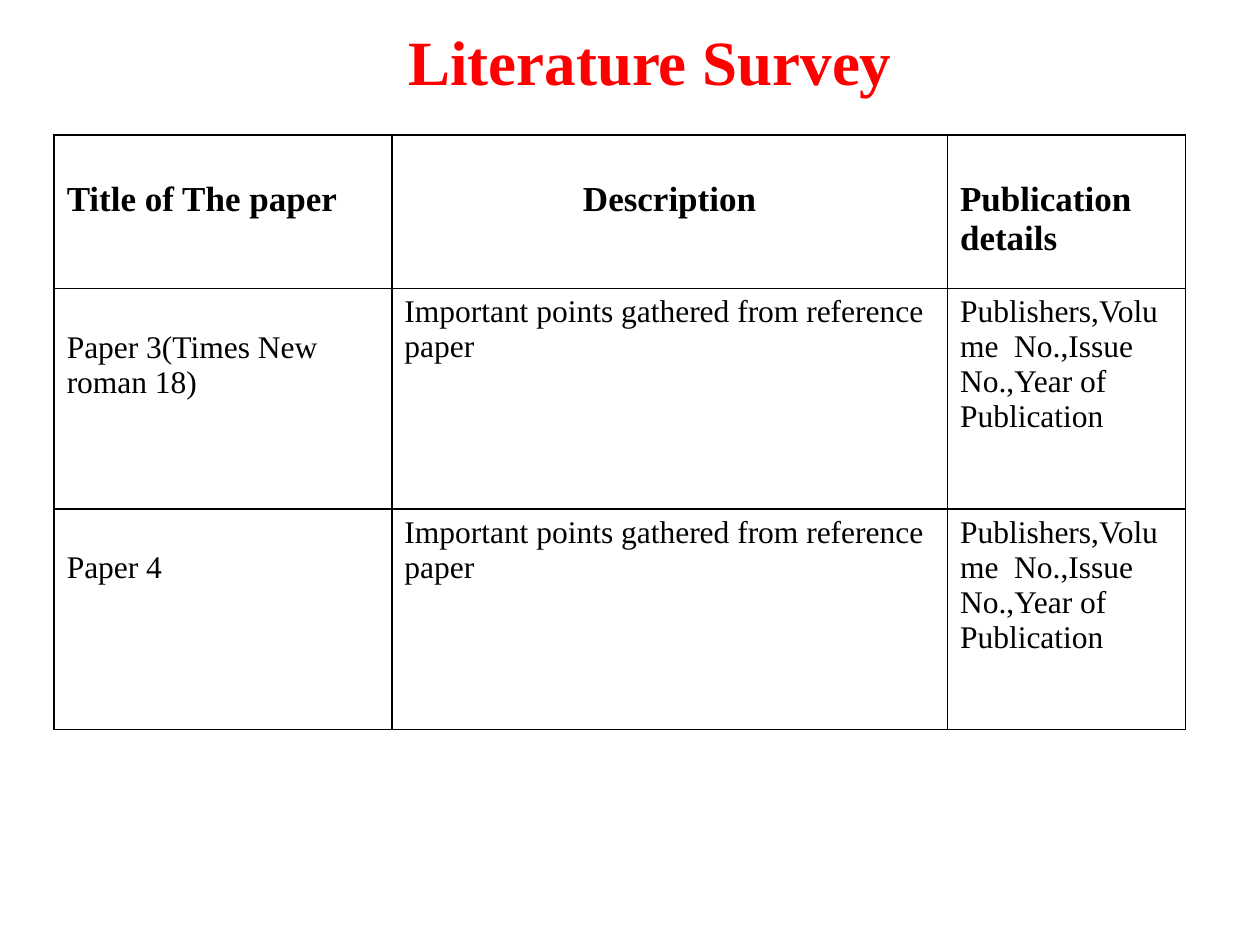
import pptx
import pptx.util
import pptx.dml.color
import pptx.enum.text
import pptx.oxml.ns
import lxml.etree

Inches = pptx.util.Inches
ALIGN = pptx.enum.text.PP_ALIGN
FONT = "Times New Roman"
COLORS = {"title": "FF0000", "text": "000000", "line": "000000", "cell": "FFFFFF"}
COLS = [2.68, 4.41, 1.89]
ROWS = [1.22, 1.75, 1.75]
POINTS = "Important points gathered from reference paper"
DETAILS = "Publishers,Volume  No.,Issue No.,Year of Publication"
CELLS = [
    ["Title of The paper", "Description", "Publication details"],
    ["Paper 3(Times New roman 18)", POINTS, DETAILS],
    ["Paper 4", POINTS, DETAILS],
]


def color(name):
    """Return the named colour."""
    return pptx.dml.color.RGBColor.from_string(COLORS[name])


def style(frame, size, bold, name, align):
    """Format the only paragraph of a text frame."""
    line = frame.paragraphs[0]
    line.alignment = align
    font = line.runs[0].font
    font.name, font.size, font.bold = FONT, pptx.util.Pt(size), bold
    font.color.rgb = color(name)


def border(cell):
    """Draw a thin line on each side of a cell."""
    props = cell._tc.get_or_add_tcPr()
    tag = pptx.oxml.ns.qn
    for side in ("a:lnL", "a:lnR", "a:lnT", "a:lnB"):
        line = lxml.etree.SubElement(props, tag(side), w=str(pptx.util.Pt(1)))
        fill = lxml.etree.SubElement(line, tag("a:solidFill"))
        lxml.etree.SubElement(fill, tag("a:srgbClr"), val=COLORS["line"])


def add_title(slide):
    """Place and format the slide title."""
    title = slide.shapes.title
    title.left, title.top = Inches(0.32), Inches(0.09)
    title.width, title.height = Inches(9.68), Inches(0.78)
    frame = title.text_frame
    frame.text = "Literature Survey"
    frame.vertical_anchor = pptx.enum.text.MSO_ANCHOR.MIDDLE
    style(frame, 36, True, "title", ALIGN.CENTER)


def fill_cell(cell, text, row, col):
    """Write one cell, lowering heads and paper names by a line."""
    head = row == 0
    size = 20 if head else 18
    border(cell)
    cell.fill.solid()
    cell.fill.fore_color.rgb = color("cell")
    drop = size * 1.11 / 72 if head or col == 0 else 0
    cell.margin_top = Inches(round(0.05 + drop, 2))
    cell.text_frame.text = text
    align = ALIGN.CENTER if head and col == 1 else ALIGN.LEFT
    style(cell.text_frame, size, head, "text", align)


def add_survey(slide):
    """Add the table of surveyed papers."""
    table = slide.shapes.add_table(
        len(ROWS), len(COLS), Inches(0.43), Inches(1.07),
        Inches(sum(COLS)), Inches(sum(ROWS))).table
    table.horz_banding = False
    for col, width in zip(table.columns, COLS):
        col.width = Inches(width)
    for row, height in zip(table.rows, ROWS):
        row.height = Inches(height)
    for r, texts in enumerate(CELLS):
        for c, text in enumerate(texts):
            fill_cell(table.cell(r, c), text, r, c)


def main():
    """Build and save the slide."""
    deck = pptx.Presentation()
    deck.slide_width, deck.slide_height = Inches(10), Inches(7.5)
    slide = deck.slides.add_slide(deck.slide_layouts[5])
    add_title(slide)
    add_survey(slide)
    deck.save("out.pptx")


if __name__ == "__main__":
    main()
